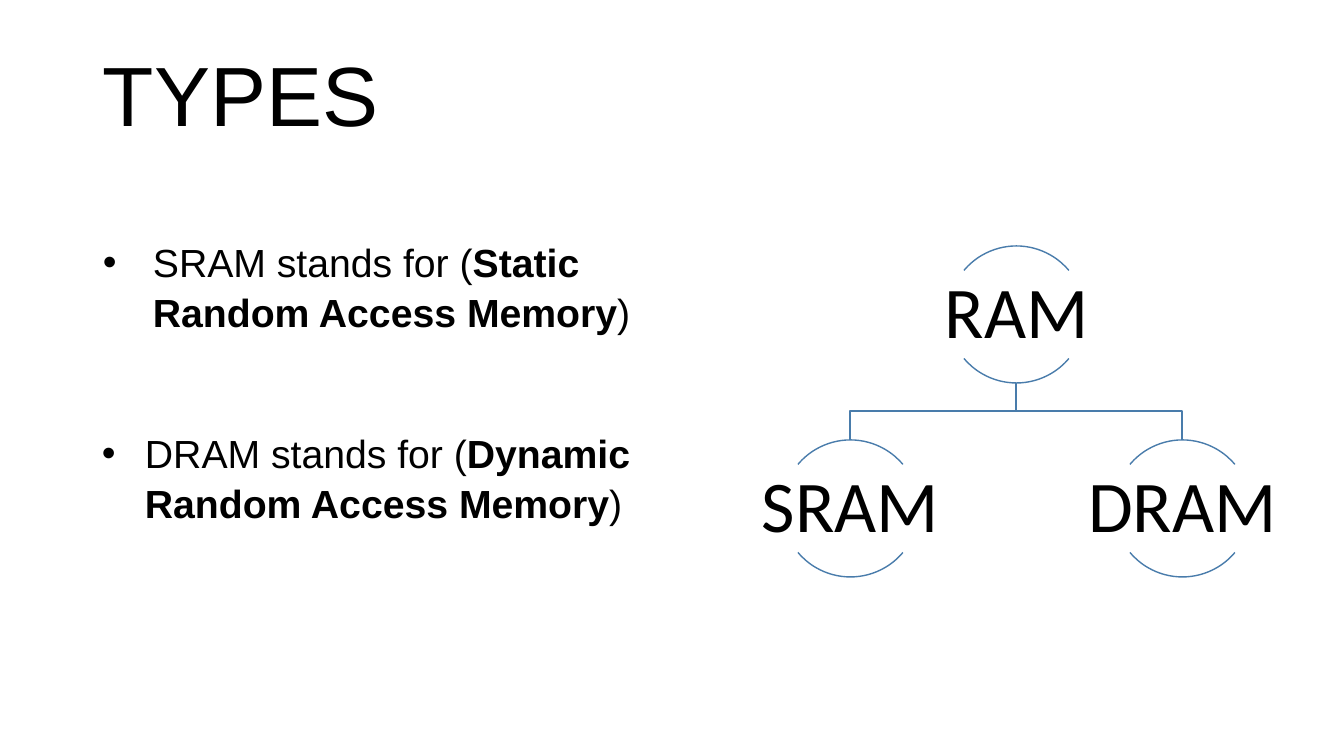
"""Build the slide that names the two types of RAM."""
from typing import NamedTuple

from lxml.etree import SubElement
from pptx import Presentation
from pptx.dml.color import RGBColor
from pptx.enum.shapes import MSO_SHAPE
from pptx.enum.text import MSO_ANCHOR, PP_ALIGN
from pptx.oxml.ns import qn
from pptx.util import Pt

EMU_PER_PIXEL = 914400 / 100.8
DIAMETER = 137
RADIUS = DIAMETER // 2
BLACK = "000000"
BLUE = "497CAB"


class Box(NamedTuple):
    left: int
    top: int
    width: int
    height: int


class MemoryNode(NamedTuple):
    label: str
    left: int
    top: int

    @property
    def center(self) -> int:
        return self.left + RADIUS


class Definition(NamedTuple):
    opening: str
    meaning: str
    box: Box
    indent: int


def px(length: float) -> int:
    return round(length * EMU_PER_PIXEL)


def color(value: str) -> RGBColor:
    return RGBColor.from_string(value)


def add_text(slide, box: Box, *runs: str, size: int, font: str = "Arial",
             align=PP_ALIGN.LEFT, anchor=MSO_ANCHOR.TOP, spacing: float = 0.9,
             inset: tuple[int, int] = (10, 5), bullet_indent: int = 0) -> None:
    """Write runs in one paragraph, every second run in bold."""
    frame = slide.shapes.add_textbox(*map(px, box)).text_frame
    frame.word_wrap = True
    frame.vertical_anchor = anchor
    frame.margin_left = frame.margin_right = px(inset[0])
    frame.margin_top = frame.margin_bottom = px(inset[1])
    paragraph = frame.paragraphs[0]
    paragraph.alignment = align
    paragraph.line_spacing = spacing
    for position, text in enumerate(runs):
        run = paragraph.add_run()
        run.text = text
        run.font.name = font
        run.font.size = Pt(size)
        run.font.bold = position % 2 == 1
        run.font.color.rgb = color(BLACK)
    if bullet_indent:
        properties = paragraph._p.get_or_add_pPr()
        properties.set("marL", str(px(bullet_indent)))
        properties.set("indent", str(-px(bullet_indent)))
        SubElement(properties, qn("a:buFont"), typeface="Arial")
        SubElement(properties, qn("a:buChar"), char="•")


def outline(shape) -> None:
    """Leave only a thin blue line on a shape."""
    shape.shadow.inherit = False
    shape.fill.background()
    shape.line.color.rgb = color(BLUE)
    shape.line.width = Pt(1)


def add_branch(slide, parent: MemoryNode, child: MemoryNode) -> None:
    """Join a parent circle to a child circle with an elbow line."""
    start = parent.top + DIAMETER
    middle = (start + child.top) // 2
    builder = slide.shapes.build_freeform(parent.center, start, scale=EMU_PER_PIXEL)
    builder.add_line_segments(
        [(parent.center, middle), (child.center, middle), (child.center, child.top)],
        close=False)
    outline(builder.convert_to_shape())


def add_node(slide, node: MemoryNode) -> None:
    """Draw a label between an upper and a lower arc."""
    for start_degrees, end_degrees in ((220, 320), (40, 140)):
        arc = slide.shapes.add_shape(
            MSO_SHAPE.ARC, *map(px, (node.left, node.top, DIAMETER, DIAMETER)))
        arc.adjustments[0] = start_degrees * 0.6
        arc.adjustments[1] = end_degrees * 0.6
        outline(arc)
    add_text(slide, Box(node.center - 137, node.top + 25, 275, 88), node.label,
             size=52, font="Calibri", align=PP_ALIGN.CENTER,
             anchor=MSO_ANCHOR.MIDDLE, inset=(4, 4))


ram = MemoryNode("RAM", 948, 246)
ram_types = [MemoryNode("SRAM", 782, 440), MemoryNode("DRAM", 1114, 440)]
definitions = [
    Definition("SRAM stands for (", "Static Random Access Memory", Box(93, 231, 599, 152), 50),
    Definition("DRAM stands for (", "Dynamic Random Access Memory", Box(92, 422, 599, 105), 43),
]

presentation = Presentation()
presentation.slide_width = px(1344)
presentation.slide_height = px(756)
types_slide = presentation.slides.add_slide(presentation.slide_layouts[6])

add_text(types_slide, Box(93, 26, 1159, 146), "TYPES", size=60, anchor=MSO_ANCHOR.MIDDLE)
for ram_type in ram_types:
    add_branch(types_slide, ram, ram_type)
for memory in [ram, *ram_types]:
    add_node(types_slide, memory)
for definition in definitions:
    add_text(types_slide, definition.box, definition.opening, definition.meaning, ")",
             size=28, spacing=1.06, bullet_indent=definition.indent)

presentation.save("out.pptx")
